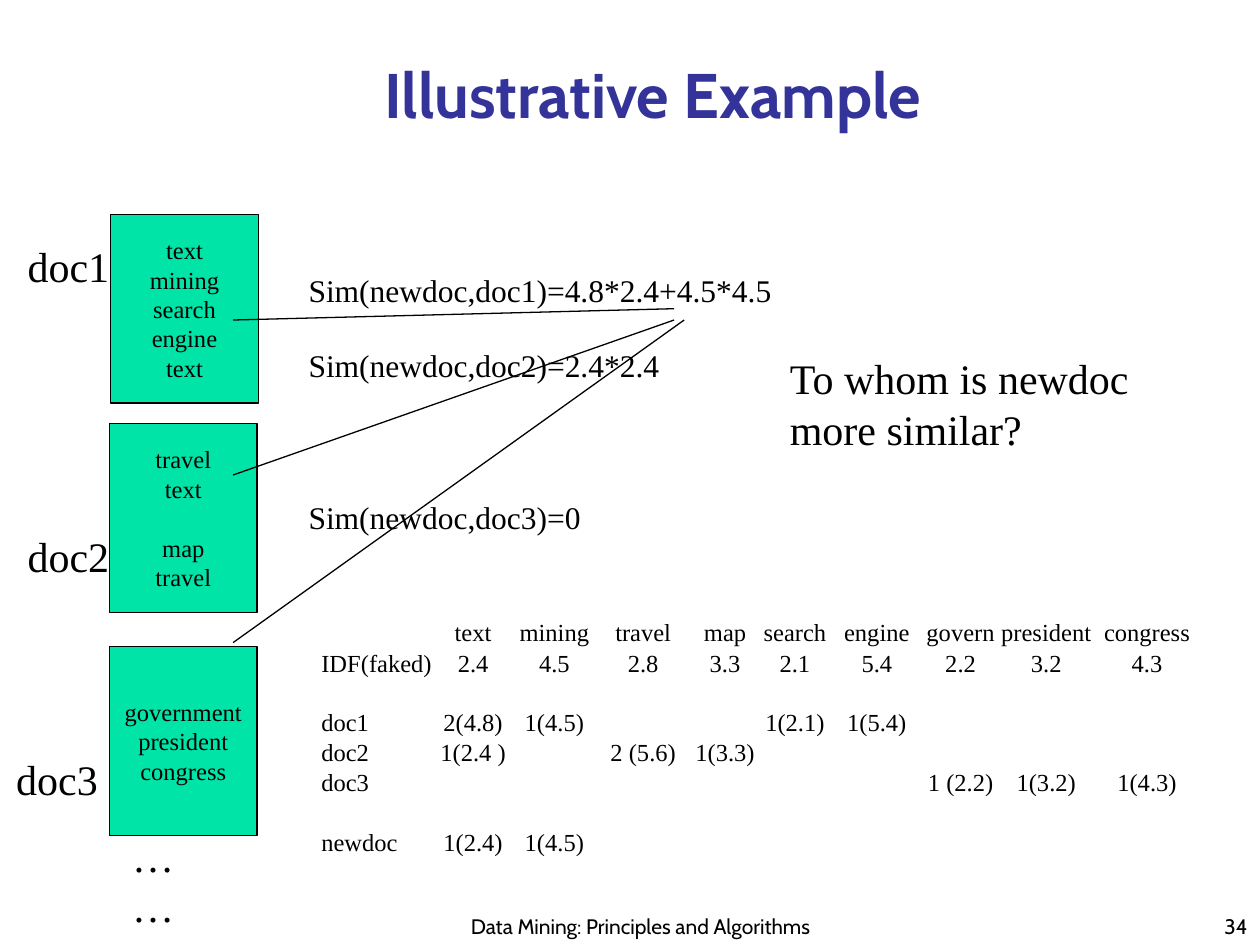
from dataclasses import dataclass

from lxml import etree
from pptx import Presentation
from pptx.dml.color import RGBColor
from pptx.enum.shapes import MSO_CONNECTOR, MSO_SHAPE
from pptx.enum.text import MSO_ANCHOR, PP_ALIGN
from pptx.oxml.ns import qn
from pptx.util import Inches, Pt

LEFT, MID, RIGHT = PP_ALIGN.LEFT, PP_ALIGN.CENTER, PP_ALIGN.RIGHT
TOP, CENTRE, BOTTOM = MSO_ANCHOR.TOP, MSO_ANCHOR.MIDDLE, MSO_ANCHOR.BOTTOM
RECT, LINE = MSO_SHAPE.RECTANGLE, MSO_CONNECTOR.STRAIGHT
BLACK = RGBColor(0x00, 0x00, 0x00)
BLUE = RGBColor(0x33, 0x33, 0x99)
GREEN = RGBColor(0x00, 0xE4, 0xA8)
SERIF, SANS = "Times New Roman", "Cabin"
LEAD = 1.2


@dataclass
class Style:
    size: float
    font: str = SERIF
    color: RGBColor = BLACK
    bold: bool = False
    align: PP_ALIGN = LEFT
    anchor: MSO_ANCHOR = TOP


@dataclass
class Label:
    text: str
    area: tuple[float, float, float, float]
    style: Style
    wrap: bool = False


@dataclass
class Doc:
    words: str
    left: float
    top: float
    gaps: dict[int, int]


BIG = Style(24)
SIMS = Style(18)
WORDS = Style(14, align=MID, anchor=CENTRE)
CELL = Style(14, align=MID, anchor=BOTTOM)
HEAD = Style(14, anchor=BOTTOM)

LABELS = [
    Label("Data Mining: Principles and Algorithms", (3.5, 6.92, 3.17, 0.58),
          Style(12, SANS, align=MID, anchor=BOTTOM), True),
    Label("34", (7.92, 7, 2.08, 0.5), Style(12, SANS, align=RIGHT, anchor=BOTTOM), True),
    Label("Illustrative Example", (0.92, 0.42, 8.52, 0.67),
          Style(36, SANS, BLUE, True, MID, BOTTOM), True),
    Label("doc1", (0.12, 1.86, 0.85, 0.5), BIG),
    Label("doc2", (0.12, 4.16, 0.85, 0.5), BIG),
    Label("doc3", (0.03, 5.93, 0.85, 0.5), BIG),
    Label("……", (0.95, 6.54, 0.86, 0.5), BIG),
    Label("To whom is newdoc more similar?", (6.17, 2.75, 3.25, 1.3), BIG, True),
]
DOCS = [
    Doc("text\nmining\nsearch\nengine\ntext", 0.88, 1.7, {}),
    Doc("travel\ntext\nmap\ntravel", 0.87, 3.36, {2: 1}),
    Doc("government\npresident\ncongress", 0.87, 5.13, {}),
]
SCORES = Label("Sim(newdoc,doc1)=4.8*2.4+4.5*4.5\nSim(newdoc,doc2)=2.4*2.4\nSim(newdoc,doc3)=0",
               (2.35, 2.1, 3.88, 2.2), SIMS)
LINKS = [
    (1.85, 2.54, 5.35, 2.45),
    (1.85, 3.77, 5.35, 2.54),
    (1.85, 5.1, 5.43, 2.54),
]
ROWS = [
    ["", "text", "mining", "travel", "map", "search", "engine", "govern", "president", "congress"],
    ["IDF(faked)", "2.4", "4.5", "2.8", "3.3", "2.1", "5.4", "2.2", "3.2", "4.3"],
    ["doc1", "2(4.8)", "1(4.5)", "", "", "1(2.1)", "1(5.4)", "", "", ""],
    ["doc2", "1(2.4 )", "", "2 (5.6)", "1(3.3)", "", "", "", "", ""],
    ["doc3", "", "", "", "", "", "", "1 (2.2)", "1(3.2)", "1(4.3)"],
    ["newdoc", "1(2.4)", "1(4.5)", "", "", "", "", "", "", ""],
]
WIDTHS = [0.9, 0.61, 0.68, 0.73, 0.57, 0.54, 0.76, 0.57, 0.79, 0.81]
HEIGHTS = [0.24, 0.25, 0.47, 0.23, 0.24, 0.47]


def format_text(frame, style: Style) -> None:
    """Apply one style to every paragraph and run of a frame."""
    for para in frame.paragraphs:
        para.alignment = style.align
        para.font.size = Pt(style.size)
        for run in para.runs:
            run.font.size = Pt(style.size)
            run.font.name = style.font
            run.font.bold = style.bold
            run.font.color.rgb = style.color


def set_lead(frame, size: float, gaps: dict[int, int]) -> None:
    """Set the line pitch and open gaps of whole lines before some paragraphs."""
    for i, para in enumerate(frame.paragraphs):
        para.line_spacing = Pt(size * LEAD)
        para.space_before = Pt(size * LEAD * gaps.get(i, 0))


def add_label(slide, label: Label):
    """Draw a text box and return its frame."""
    frame = slide.shapes.add_textbox(*map(Inches, label.area)).text_frame
    frame.text = label.text
    frame.word_wrap = label.wrap
    frame.vertical_anchor = label.style.anchor
    format_text(frame, label.style)
    if label.style.font == SERIF:
        set_lead(frame, label.style.size, {})
    return frame


def add_doc(slide, doc: Doc) -> None:
    """Draw one document with its words."""
    box = slide.shapes.add_shape(RECT, Inches(doc.left), Inches(doc.top), Inches(1.17), Inches(1.5))
    box.shadow.inherit = False
    box.fill.solid()
    box.fill.fore_color.rgb = GREEN
    box.line.color.rgb = BLACK
    box.line.width = Pt(0.75)
    frame = box.text_frame
    frame.text = doc.words
    frame.word_wrap = False
    frame.vertical_anchor = WORDS.anchor
    format_text(frame, WORDS)
    set_lead(frame, WORDS.size, doc.gaps)


def add_link(slide, ends: tuple[float, float, float, float]) -> None:
    """Draw a thin straight line."""
    link = slide.shapes.add_connector(LINE, *map(Inches, ends))
    link.line.color.rgb = BLACK
    link.line.width = Pt(0.75)
    etree.SubElement(link._element.spPr, qn("a:effectLst"))


def add_weights(slide) -> None:
    """Draw the table of term weights."""
    grid = slide.shapes.add_table(len(ROWS), len(WIDTHS), Inches(2.55), Inches(4.89),
                                  Inches(sum(WIDTHS)), Inches(sum(HEIGHTS))).table
    grid.first_row = grid.horz_banding = False
    grid._tbl.tblPr.find(qn("a:tableStyleId")).text = "{2D5ABB26-0587-4C30-8999-92F81FD0307C}"
    for col, width in zip(grid.columns, WIDTHS):
        col.width = Inches(width)
    for r, (row, height) in enumerate(zip(ROWS, HEIGHTS)):
        grid.rows[r].height = Inches(height)
        for c, text in enumerate(row):
            cell = grid.cell(r, c)
            cell.fill.background()
            cell.margin_left = cell.margin_right = cell.margin_top = cell.margin_bottom = 0
            cell.vertical_anchor = BOTTOM
            cell.text_frame.text = text
            format_text(cell.text_frame, CELL if c else HEAD)


def main() -> None:
    """Build the slide and save it."""
    deck = Presentation()
    deck.slide_width, deck.slide_height = Inches(10), Inches(7.5)
    slide = deck.slides.add_slide(deck.slide_layouts[6])
    add_weights(slide)
    for doc in DOCS:
        add_doc(slide, doc)
    for label in LABELS:
        add_label(slide, label)
    set_lead(add_label(slide, SCORES), SIMS.size, {1: 1, 2: 3})
    for ends in LINKS:
        add_link(slide, ends)
    deck.save("out.pptx")


if __name__ == "__main__":
    main()
